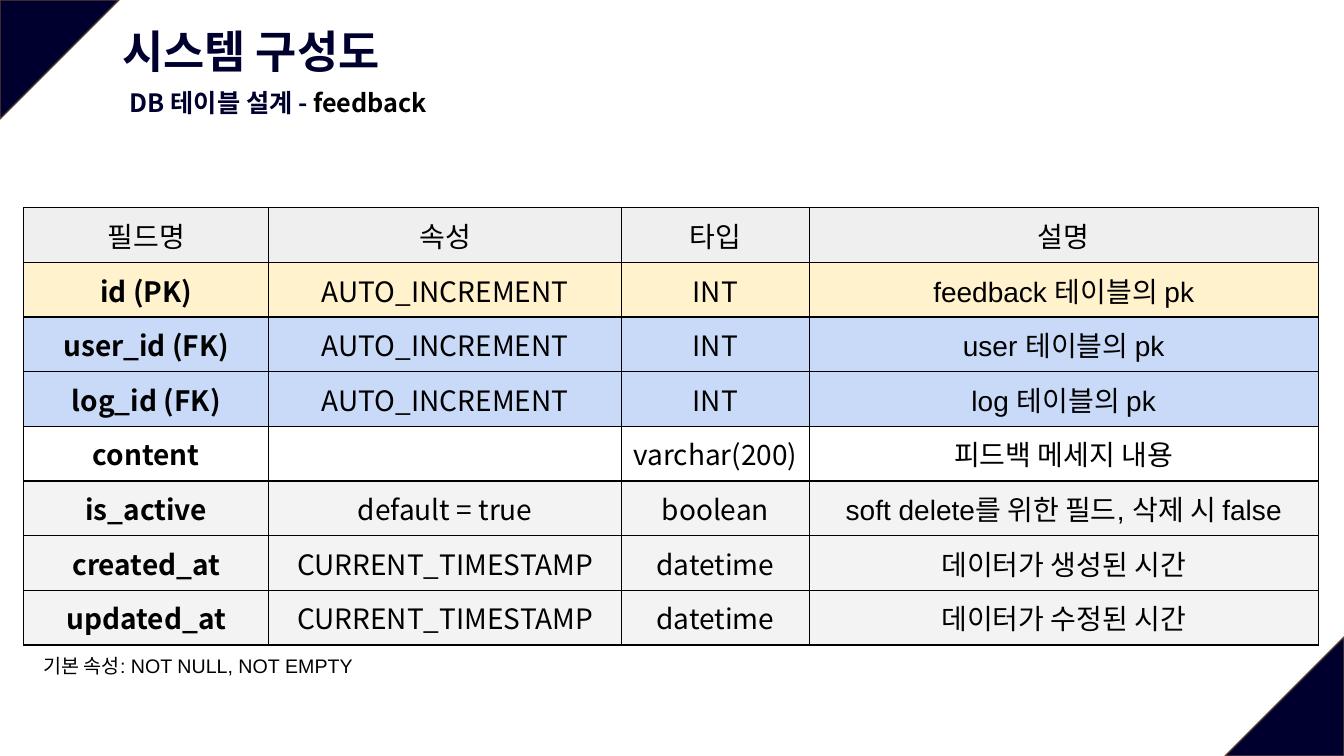
from lxml import etree
from pptx import Presentation
from pptx.dml.color import RGBColor
from pptx.enum.shapes import MSO_SHAPE
from pptx.enum.text import MSO_ANCHOR, MSO_AUTO_SIZE, PP_ALIGN
from pptx.oxml.ns import qn
from pptx.util import Pt

TRIANGLE = MSO_SHAPE.ISOSCELES_TRIANGLE
MIDDLE = MSO_ANCHOR.MIDDLE
NO_FIT = MSO_AUTO_SIZE.NONE
LEFT, CENTER, JUSTIFY = PP_ALIGN.LEFT, PP_ALIGN.CENTER, PP_ALIGN.JUSTIFY

NOTO, ARIAL = "Noto Sans CJK KR", "Arial"
COLORS = {
    "navy": "00002F", "brown": "5B3F33", "black": "000000",
    "header": "EFEFEF", "primary": "FFF2CC", "foreign": "C9DAF8",
    "plain": "FFFFFF", "common": "F3F3F3",
}
TITLE = "시스템 구성도"
SUBTITLE = [("DB 테이블 설계 - ", "navy"), ("feedback", "black")]
FOOTNOTE = "기본 속성: NOT NULL, NOT EMPTY"
FIELDS = [
    ("header", "필드명", "속성", "타입", "설명"),
    ("primary", "id (PK)", "AUTO_INCREMENT", "INT", "feedback 테이블의 pk"),
    ("foreign", "user_id (FK)", "AUTO_INCREMENT", "INT", "user 테이블의 pk"),
    ("foreign", "log_id (FK)", "AUTO_INCREMENT", "INT", "log 테이블의 pk"),
    ("plain", "content", "", "varchar(200)", "피드백 메세지 내용"),
    ("common", "is_active", "default = true", "boolean", "soft delete를 위한 필드, 삭제 시 false"),
    ("common", "created_at", "CURRENT_TIMESTAMP", "datetime", "데이터가 생성된 시간"),
    ("common", "updated_at", "CURRENT_TIMESTAMP", "datetime", "데이터가 수정된 시간"),
]
COL_WIDTHS = [175, 252, 134, 363.6]
COL_FONTS = [NOTO, NOTO, NOTO, ARIAL]
ROW_HEIGHT = 38.8
SLIDE_W, SLIDE_H, CORNER = 960, 540, 85


def rgb(name):
    return RGBColor.from_string(COLORS[name])


def add_run(p, text, color, **font):
    r = p.add_run()
    r.text = text
    for key, value in font.items():
        setattr(r.font, key, value)
    r.font.color.rgb = rgb(color)
    ea = etree.Element(qn("a:ea"), typeface=NOTO)
    r.font._element.find(qn("a:latin")).addnext(ea)


def fill_box(sp, box, runs, align, inset_y, **font):
    sp.left, sp.top, sp.width, sp.height = map(Pt, box)
    tf = sp.text_frame
    frame = {
        "word_wrap": True, "auto_size": NO_FIT, "vertical_anchor": MIDDLE,
        "margin_left": Pt(7.2), "margin_right": Pt(7.2),
        "margin_top": Pt(inset_y), "margin_bottom": Pt(inset_y),
    }
    for key, value in frame.items():
        setattr(tf, key, value)
    p = tf.paragraphs[0]
    p.alignment = align
    for text, color in runs:
        add_run(p, text, color, **font)


def add_corner(s, left, top, rotation):
    sp = s.shapes.add_shape(TRIANGLE, Pt(left), Pt(top), Pt(CORNER), Pt(CORNER))
    sp.adjustments[0] = 0
    sp.rotation = rotation
    sp.shadow.inherit = False
    sp.fill.solid()
    sp.fill.fore_color.rgb = rgb("navy")
    sp.line.color.rgb = rgb("brown")
    sp.line.width = Pt(1)


def set_borders(cell):
    tcPr = cell._tc.get_or_add_tcPr()
    for i, side in enumerate(("lnL", "lnR", "lnT", "lnB")):
        ln = etree.Element(qn(f"a:{side}"), w=str(Pt(1)))
        solid = etree.SubElement(ln, qn("a:solidFill"))
        etree.SubElement(solid, qn("a:srgbClr"), val=COLORS["black"])
        tcPr.insert(i, ln)


def add_field_table(s, left, top):
    frame = s.shapes.add_table(
        len(FIELDS), len(COL_WIDTHS), Pt(left), Pt(top),
        Pt(sum(COL_WIDTHS)), Pt(ROW_HEIGHT * len(FIELDS)))
    table = frame.table
    table.first_row = table.horz_banding = False
    for column, width in zip(table.columns, COL_WIDTHS):
        column.width = Pt(width)
    for i, (kind, *texts) in enumerate(FIELDS):
        table.rows[i].height = Pt(ROW_HEIGHT)
        for j, text in enumerate(texts):
            cell = table.cell(i, j)
            cell.fill.solid()
            cell.fill.fore_color.rgb = rgb(kind)
            set_borders(cell)
            cell.vertical_anchor = MIDDLE
            for side in ("left", "right", "top", "bottom"):
                setattr(cell, f"margin_{side}", Pt(5))
            if text:
                p = cell.text_frame.paragraphs[0]
                p.alignment = CENTER
                add_run(p, text, "black", name=COL_FONTS[j], size=Pt(20),
                        bold=j == 0 and kind != "header")


def main():
    prs = Presentation()
    prs.slide_width, prs.slide_height = Pt(SLIDE_W), Pt(SLIDE_H)
    s = prs.slides.add_slide(prs.slide_layouts[5])
    add_corner(s, 0, 0, 90)
    add_corner(s, SLIDE_W - CORNER, SLIDE_H - CORNER, 270)
    fill_box(s.shapes.title, (80, 13, 263.5, 46), [(TITLE, "navy")], LEFT, 3.6,
             name=NOTO, size=Pt(32), bold=True)
    boxes = [
        ((85.7, 59, 363.6, 28.8), SUBTITLE, JUSTIFY, 3.6, NOTO, 18, True),
        ((23.8, 459.4, 711.4, 31.7), [(FOOTNOTE, "black")], LEFT, 7.2, ARIAL, 14, False),
    ]
    for box, runs, align, inset_y, name, size, bold in boxes:
        sp = s.shapes.add_textbox(0, 0, 0, 0)
        fill_box(sp, box, runs, align, inset_y, name=name, size=Pt(size), bold=bold)
    add_field_table(s, 17, 148.4)
    prs.save("out.pptx")


if __name__ == "__main__":
    main()
